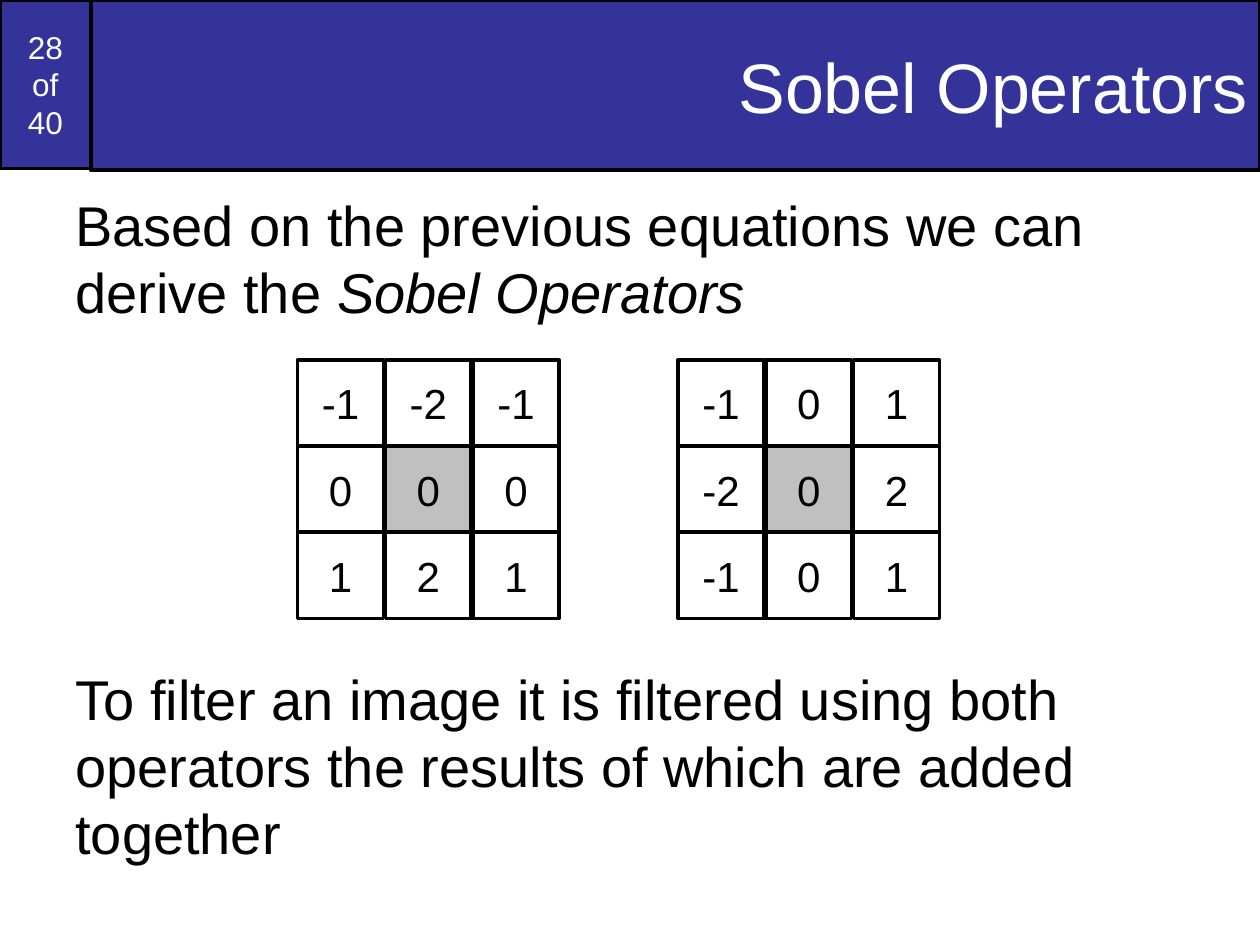
from pptx import Presentation
from pptx.dml.color import RGBColor
from pptx.enum.shapes import MSO_SHAPE as SHAPE
from pptx.enum.text import MSO_ANCHOR as ANCHOR, MSO_AUTO_SIZE as AUTO, PP_ALIGN as ALIGN
from pptx.oxml.ns import qn
from pptx.util import Cm, Pt

TITLE = "Sobel Operators"
PAGE = "28\vof\v40"
BODY = [
    {"runs": [("Based on the previous equations we can derive the ", False),
              ("Sobel Operators", True)], "before": 0},
    {"runs": [("To filter an image it is filtered using both operators "
               "the results of which are added together", False)], "before": 194},
]
OPERATORS = [
    (6.0, [["-1", "-2", "-1"], ["0", "0", "0"], ["1", "2", "1"]]),
    (13.67, [["-1", "0", "1"], ["-2", "0", "2"], ["-1", "0", "1"]]),
]
COLORS = {"banner": "333399", "white": "FFFFFF", "black": "000000", "center": "C0C0C0"}
GRID_TOP, CELL, STEP_X, STEP_Y = 7.26, 1.73, 1.77, 1.74
FRAME = {"margin_left": Cm(0.25), "margin_right": Cm(0.25), "margin_top": Cm(0.13),
         "margin_bottom": Cm(0.13), "auto_size": AUTO.NONE}


def rgb(name):
    return RGBColor.from_string(COLORS[name])


def apply(target, values):
    for name, value in values.items():
        setattr(target, name, value)


def place(sp, left, top, width, height):
    apply(sp, {"left": Cm(left), "top": Cm(top), "width": Cm(width), "height": Cm(height)})


def style_run(r, size, color, italic=False):
    apply(r.font, {"name": "Arial", "size": Pt(size), "italic": italic})
    r.font.color.rgb = rgb(color)


def style_box(sp, fill, text, size, color, align=ALIGN.CENTER, wrap=True):
    sp.fill.solid()
    sp.fill.fore_color.rgb = rgb(fill)
    sp.line.color.rgb = rgb("black")
    sp.line.width = Pt(2)
    tf = sp.text_frame
    apply(tf, {**FRAME, "vertical_anchor": ANCHOR.MIDDLE, "word_wrap": wrap})
    p = tf.paragraphs[0]
    p.text = text
    apply(p, {"alignment": align, "line_spacing": Pt(size * 1.2)})
    for r in p.runs:
        style_run(r, size, color)


def add_box(shapes, left, top, width, height, *style, **options):
    sp = shapes.add_shape(SHAPE.RECTANGLE, Cm(left), Cm(top), Cm(width), Cm(height))
    sp.shadow.inherit = False
    style_box(sp, *style, **options)


def fill_body(sp):
    tf = sp.text_frame
    apply(tf, {**FRAME, "vertical_anchor": ANCHOR.TOP, "word_wrap": True})
    for i, item in enumerate(BODY):
        p = tf.add_paragraph() if i else tf.paragraphs[0]
        pPr = p._p.get_or_add_pPr()
        pPr.set("marL", "0")
        pPr.set("indent", "0")
        pPr.append(pPr.makeelement(qn("a:buNone"), {}))
        apply(p, {"alignment": ALIGN.LEFT, "line_spacing": Pt(38.4),
                  "space_before": Pt(item["before"])})
        for text, italic in item["runs"]:
            r = p.add_run()
            r.text = text
            style_run(r, 32, "black", italic)


def add_operator(s, left, rows):
    group = s.shapes.add_group_shape()
    for i, row in enumerate(rows):
        for j, value in enumerate(row):
            fill = "center" if i == j == 1 else "white"
            add_box(group.shapes, left + j * STEP_X, GRID_TOP + i * STEP_Y, CELL, CELL,
                    fill, value, 24, "black", wrap=False)


def main():
    prs = Presentation()
    apply(prs, {"slide_width": Cm(25.4), "slide_height": Cm(19.05)})
    s = prs.slides.add_slide(prs.slide_layouts[1])
    title, body = s.placeholders
    add_box(s.shapes, 0, 0, 1.83, 3.4, "banner", PAGE, 18, "white")
    place(title, 1.83, 0, 23.57, 3.43)
    style_box(title, "banner", TITLE, 40, "white", ALIGN.RIGHT)
    place(body, 1.27, 3.71, 24.13, 15.34)
    fill_body(body)
    for left, rows in OPERATORS:
        add_operator(s, left, rows)
    prs.save("out.pptx")


if __name__ == "__main__":
    main()
